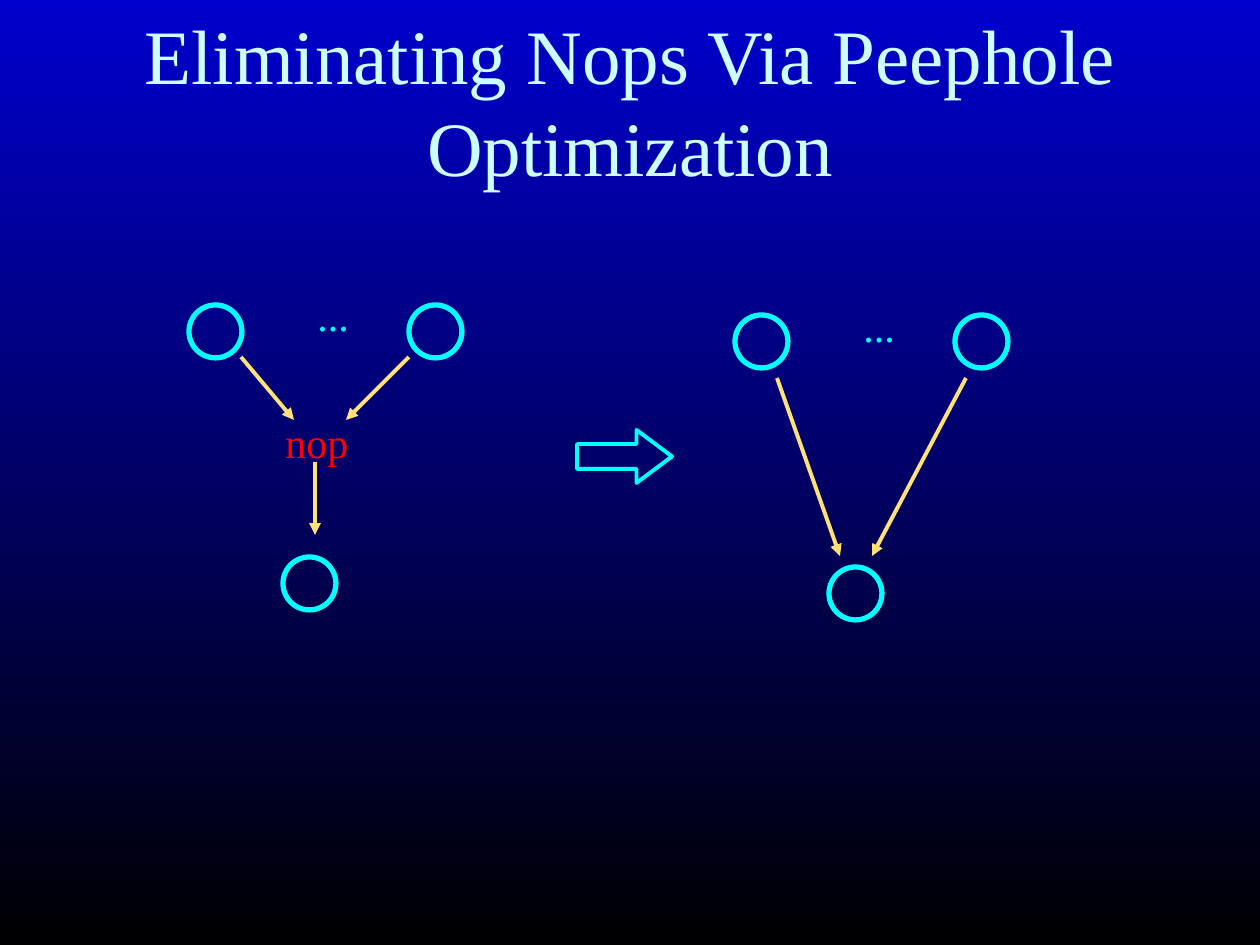
"""Build the slide on eliminating nops via peephole optimization."""
from lxml.etree import SubElement
from pptx import Presentation
from pptx.dml.color import RGBColor
from pptx.enum.shapes import MSO_CONNECTOR, MSO_SHAPE
from pptx.enum.text import MSO_ANCHOR, MSO_AUTO_SIZE, PP_ALIGN
from pptx.oxml.ns import qn
from pptx.util import Inches, Pt

SCALE = Inches(1) / 126
THEME = {
    "font": "Times New Roman",
    "top": RGBColor.from_string("0000CC"),
    "bottom": RGBColor.from_string("000000"),
    "title": RGBColor.from_string("CCFFFF"),
    "node": RGBColor.from_string("00FFFF"),
    "edge": RGBColor.from_string("FFE175"),
    "nop": RGBColor.from_string("FF0000"),
    "title_size": Pt(44),
    "label_size": Pt(24),
    "node_width": Pt(3),
    "edge_width": Pt(2.25),
}
NODE = 53
GRAPHS = [
    {
        "origin": (189, 305),
        "edges": [(220, 52, 157, 115), (52, 52, 105, 115), (126, 157, 126, 230)],
        "labels": [("...", 116, -22, 57, "node"), ("nop", 84, 105, 88, "nop")],
    },
    {
        "origin": (735, 315),
        "edges": [(231, 63, 137, 241), (42, 63, 105, 241)],
        "labels": [("...", 116, -21, 57, "node")],
    },
]


def px(*lengths):
    return [round(length * SCALE) for length in lengths]


def write(shape, text, size, color, align):
    para = shape.text_frame.paragraphs[0]
    para.alignment = align
    span = para.add_run()
    span.text = text
    span.font.color.rgb = THEME[color]
    for name, value in {"name": THEME["font"], "size": THEME[size]}.items():
        setattr(span.font, name, value)


deck = Presentation()
deck.slide_width, deck.slide_height = px(1260, 945)
page = deck.slides.add_slide(deck.slide_layouts[5])

backdrop = page.background.fill
backdrop.gradient()
backdrop.gradient_angle = 270
for stop, color in zip(backdrop.gradient_stops, ("top", "bottom")):
    stop.color.rgb = THEME[color]

title = page.shapes.title
for name, value in zip(("left", "top", "width", "height"), px(53, 21, 1155, 158)):
    setattr(title, name, value)
title_format = {
    "vertical_anchor": MSO_ANCHOR.MIDDLE,
    "word_wrap": True,
    "auto_size": MSO_AUTO_SIZE.NONE,
}
for name, value in title_format.items():
    setattr(title.text_frame, name, value)
write(title, "Eliminating Nops Via Peephole Optimization", "title_size", "title", PP_ALIGN.CENTER)

outlines = [(MSO_SHAPE.RIGHT_ARROW, 577, 430, 95, NODE, "edge_width")]
for graph in GRAPHS:
    left, top = graph["origin"]
    for across, down in ((0, 0), (220, 0), (94, 252)):
        outlines.append((MSO_SHAPE.OVAL, left + across, top + down, NODE, NODE, "node_width"))
    for x1, y1, x2, y2 in graph["edges"]:
        edge = page.shapes.add_connector(
            MSO_CONNECTOR.STRAIGHT, *px(left + x1, top + y1, left + x2, top + y2)
        )
        edge.line.color.rgb = THEME["edge"]
        edge.line.width = THEME["edge_width"]
        SubElement(edge.line._get_or_add_ln(), qn("a:tailEnd"), type="triangle")
        SubElement(edge._element.spPr, qn("a:effectLst"))
    for text, across, down, width, color in graph["labels"]:
        box = page.shapes.add_textbox(*px(left + across, top + down, width, 63))
        label_format = {"word_wrap": False, "auto_size": MSO_AUTO_SIZE.SHAPE_TO_FIT_TEXT}
        for name, value in label_format.items():
            setattr(box.text_frame, name, value)
        write(box, text, "label_size", color, PP_ALIGN.LEFT)

for kind, left, top, width, height, weight in outlines:
    shape = page.shapes.add_shape(kind, *px(left, top, width, height))
    shape.shadow.inherit = False
    shape.fill.background()
    shape.line.color.rgb = THEME["node"]
    shape.line.width = THEME[weight]
    if kind == MSO_SHAPE.RIGHT_ARROW:
        shape.adjustments[0], shape.adjustments[1] = 0.47, 0.67

deck.save("out.pptx")
